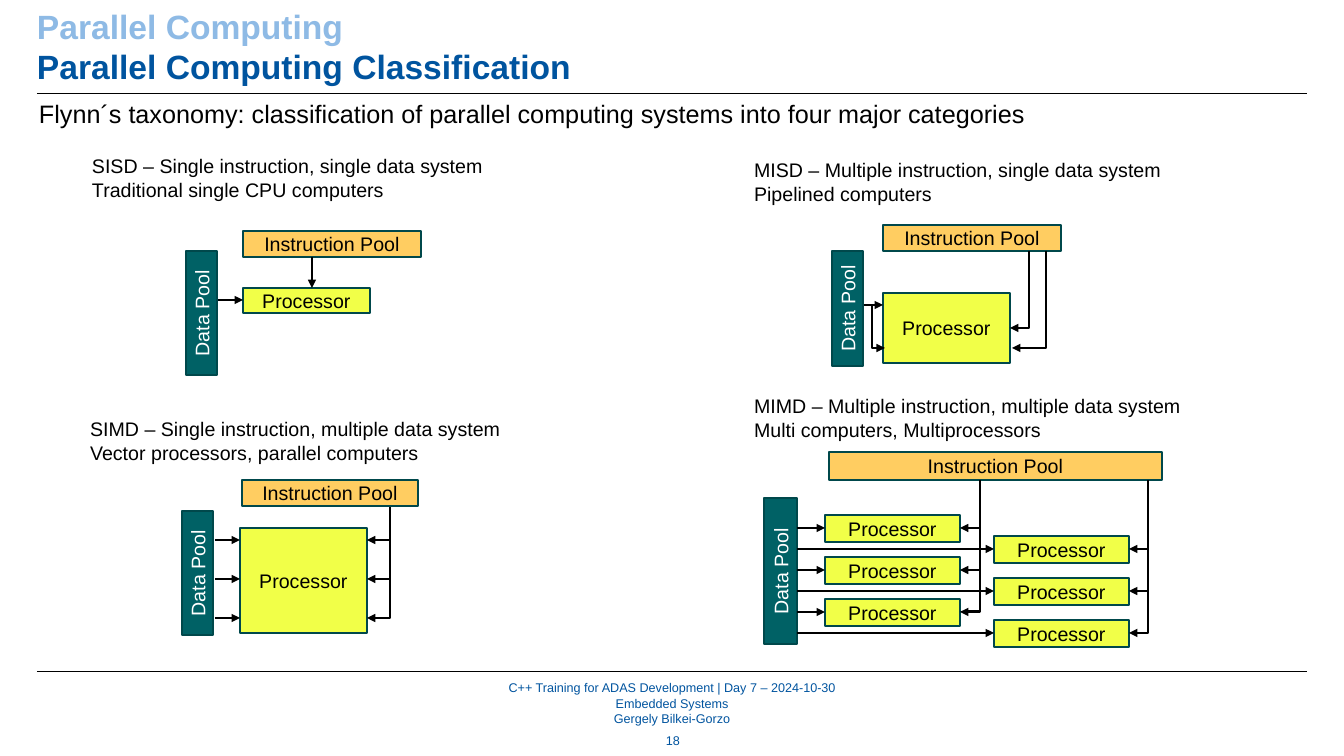
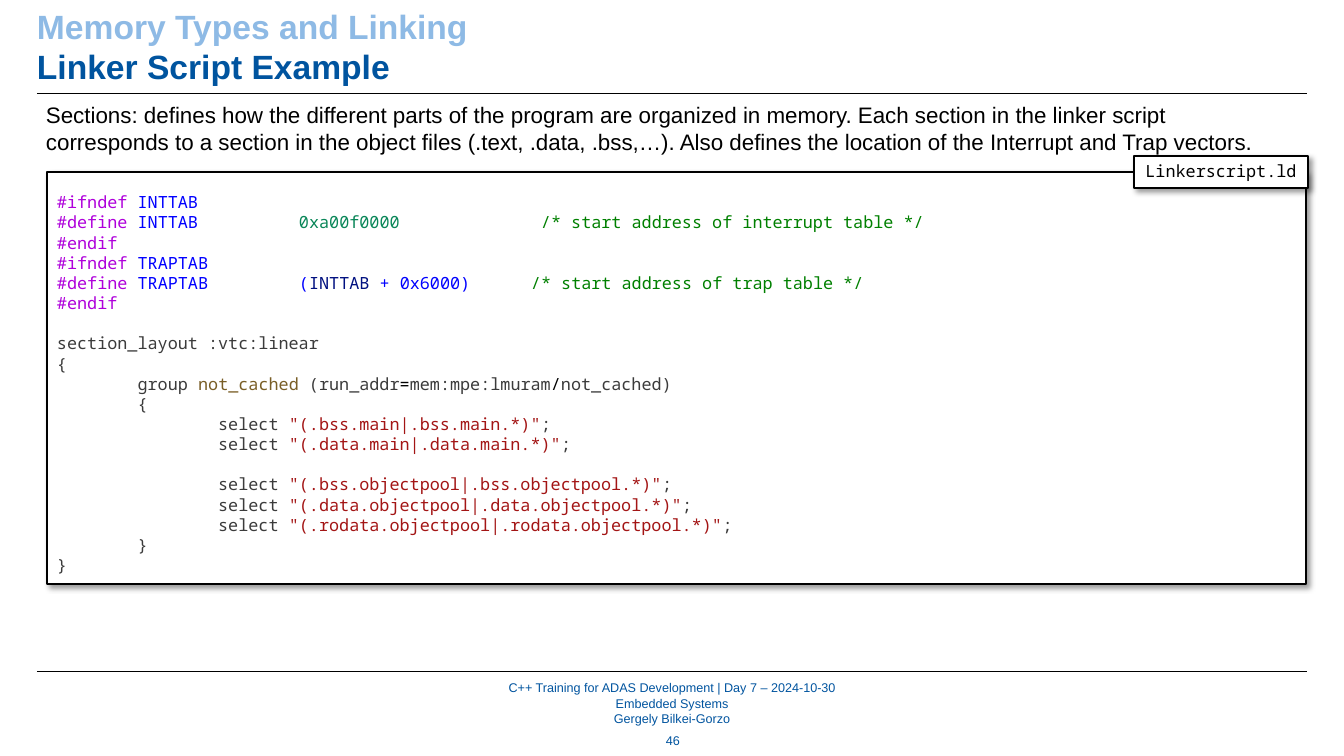
from lxml import etree
from pptx import Presentation, util as u
from pptx.dml.color import RGBColor
from pptx.enum import shapes, text
from pptx.oxml import ns

EMU_PER_PX = 914400 / 100.8
COLORS = {
    "black": "000000", "white": "FFFFFF", "blue": "00549F", "light blue": "8EBAE5",
    "teal": "006165", "outline": "00484B", "orange": "FFCD61", "yellow": "F1FF48",
    "directive": "AF00DB", "macro": "0000FF", "number": "098658", "comment": "008000",
    "reference": "001080", "plain": "3B3B3B", "name": "795E26", "string": "A31515",
}
SANS, MONO = "Arial", "Noto Sans Mono"
CODE_PITCH = 14.4
LEFT, RIGHT = 37, 1307
FOOTER = ["C++ Training for ADAS Development | Day 7 – 2024-10-30",
          "Embedded Systems", "Gergely Bilkei-Gorzo"]


def px(length):
    return u.Emu(round(length * EMU_PER_PX))


def rgb(name):
    return RGBColor.from_string(COLORS[name])


def add_xml(parent, tag, **attributes):
    return etree.SubElement(parent, ns.qn(tag), attributes)


def write(frame, lines, size=14, font=SANS, color="black", bold=False, align="LEFT",
          anchor="TOP", insets=(10, 5, 10, 5), pitch=None, gaps=(), tabs=None):
    """Fill a frame; a line is a string or a list of (text, colour) runs.

    gaps holds the lines that follow an empty row, tabs maps a line to its stops.
    """
    frame.word_wrap = True
    frame.auto_size = text.MSO_AUTO_SIZE.NONE
    frame.vertical_anchor = getattr(text.MSO_ANCHOR, anchor)
    (frame.margin_left, frame.margin_top,
     frame.margin_right, frame.margin_bottom) = map(px, insets)
    for number, line in enumerate(lines):
        paragraph = frame.add_paragraph() if number else frame.paragraphs[0]
        if tabs and number in tabs:
            stops = add_xml(paragraph._p.get_or_add_pPr(), "a:tabLst")
            for stop in tabs[number]:
                add_xml(stops, "a:tab", pos=str(px(stop)), algn="l")
        paragraph.alignment = getattr(text.PP_ALIGN, align)
        if pitch:
            paragraph.line_spacing = u.Pt(pitch)
        if number in gaps:
            paragraph.space_before = u.Pt(pitch)
        for words, run_color in [(line, color)] if isinstance(line, str) else line:
            run = paragraph.add_run()
            run.text = words
            run.font.size, run.font.name, run.font.bold = u.Pt(size), font, bold
            run.font.color.rgb = rgb(run_color)


class Deck:
    def __init__(self):
        self.presentation = Presentation()
        self.presentation.slide_width, self.presentation.slide_height = px(1344), px(756)
        self.slide = None

    def start_slide(self, chapter, topic, number):
        self.slide = self.presentation.slides.add_slide(self.presentation.slide_layouts[5])
        title = self.slide.shapes.title
        title.left, title.top, title.width, title.height = map(px, (LEFT, 5, 1270, 82))
        write(title.text_frame, [[(chapter, "light blue")], [(topic, "blue")]],
              size=24, bold=True, anchor="MIDDLE", insets=(0, 0, 0, 0))
        for y in (93, 671):
            self.line((LEFT, y), (RIGHT, y), width=0.5, arrow=False)
        small = dict(size=9, color="blue", align="CENTER", anchor="MIDDLE", insets=(0, 0, 0, 0))
        self.text(346, 680, 652, 46, FOOTER, **small)
        self.text(647, 727, 52, 26, [str(number)], **small)

    def text(self, x, y, width, height, lines, **style):
        box = self.slide.shapes.add_textbox(*map(px, (x, y, width, height)))
        write(box.text_frame, lines, **style)

    def box(self, x, y, width, height, lines, fill, line="outline", line_width=1,
            upright=False, shadow=False, **style):
        """Add a rectangle; an upright one is turned so that its text reads upwards."""
        if upright:
            x, y = x + (width - height) / 2, y + (height - width) / 2
            width, height = height, width
        shape = self.slide.shapes.add_shape(shapes.MSO_SHAPE.RECTANGLE,
                                            *map(px, (x, y, width, height)))
        shape.rotation = 270 if upright else 0
        shape.shadow.inherit = False
        shape.fill.solid()
        shape.fill.fore_color.rgb = rgb(fill)
        shape.line.color.rgb = rgb(line)
        shape.line.width = u.Pt(line_width)
        if shadow:
            effects = shape.element.spPr.find(ns.qn("a:effectLst"))
            outer = add_xml(effects, "a:outerShdw", blurRad=str(u.Pt(4)), dist=str(u.Pt(3)),
                            dir="2700000", algn="tl", rotWithShape="0")
            tint = add_xml(outer, "a:srgbClr", val=COLORS["black"])
            add_xml(tint, "a:alpha", val="40000")
        write(shape.text_frame, lines, **style)

    def line(self, start, tip, width=2, arrow=True, bent=False):
        """Draw a line; a bent one runs vertically from start, then sideways to tip."""
        kind = shapes.MSO_CONNECTOR.ELBOW if bent else shapes.MSO_CONNECTOR.STRAIGHT
        ends = (*tip, *start) if bent else (*start, *tip)
        connector = self.slide.shapes.add_connector(kind, *map(px, ends))
        connector.line.color.rgb = rgb("black")
        connector.line.width = u.Pt(width)
        properties = connector.element.spPr
        if bent:
            properties.find(ns.qn("a:prstGeom")).set("prst", "bentConnector2")
        if arrow:
            add_xml(connector.line._get_or_add_ln(), "a:headEnd" if bent else "a:tailEnd",
                    type="triangle")
        add_xml(properties, "a:effectLst")

    def block(self, label, x, y, width, height, fill, color="black", upright=False):
        self.box(x, y, width, height, [label], fill, upright=upright, color=color,
                 align="CENTER", anchor="MIDDLE", insets=(0, 0, 0, 0))

    def data_pool(self, *place):
        self.block("Data Pool", *place, "teal", color="white", upright=True)

    def instruction_pool(self, *place):
        self.block("Instruction Pool", *place, "orange")

    def processor(self, *place):
        self.block("Processor", *place, "yellow")

    def feed(self, bus_x, bus_top, tip_x, rows):
        """Lead a vertical bus to its last row, with a branch at each row above."""
        self.line((bus_x, bus_top), (tip_x, rows[-1]), bent=True)
        for y in rows[:-1]:
            self.line((bus_x, y), (tip_x, y))


def build_classification(deck):
    deck.start_slide("Parallel Computing", "Parallel Computing Classification", 18)
    deck.text(29, 93, 1200, 40, ["Flynn´s taxonomy: classification of parallel computing "
                                 "systems into four major categories"], size=18)
    for x, y, system, examples in (
            (82, 149, "SISD – Single instruction, single data system",
             "Traditional single CPU computers"),
            (744, 153, "MISD – Multiple instruction, single data system",
             "Pipelined computers"),
            (80, 412, "SIMD – Single instruction, multiple data system",
             "Vector processors, parallel computers"),
            (744, 389, "MIMD – Multiple instruction, multiple data system",
             "Multi computers, Multiprocessors")):
        deck.text(x, y, 460, 56, [system, examples])

    # SISD
    deck.data_pool(186, 251, 31, 124)
    deck.instruction_pool(243, 231, 178, 26)
    deck.processor(243, 288, 127, 25)
    deck.line((218, 300), (243, 300))
    deck.line((312, 257), (312, 288))

    # MISD
    deck.data_pool(832, 251, 31, 115)
    deck.instruction_pool(883, 225, 178, 26)
    deck.processor(883, 293, 127, 70)
    deck.line((864, 305), (883, 305))
    deck.line((872, 305), (885, 348), bent=True)
    deck.line((1029, 251), (1010, 328), bent=True)
    deck.line((1046, 251), (1012, 348), bent=True)

    # SIMD
    rows = range(540, 620, 39)
    deck.data_pool(182, 511, 31, 124)
    deck.instruction_pool(242, 480, 176, 26)
    deck.processor(240, 528, 127, 105)
    for y in rows:
        deck.line((215, y), (240, y))
    deck.feed(390, 507, 367, rows)

    # MIMD
    deck.data_pool(764, 498, 33, 146)
    deck.instruction_pool(829, 452, 333, 28)
    for x, top, bus_x in ((825, 515, 980), (994, 536, 1148)):
        rows = [top + 13 + 42 * row for row in range(3)]
        for y in rows:
            deck.processor(x, y - 13, 135, 27)
            deck.line((797, y), (x, y))
        deck.feed(bus_x, 480, x + 135, rows)


def select(pattern):
    return [("                select ", "plain"), (f'"{pattern}"', "string"), (";", "plain")]


def build_linker_script(deck):
    deck.start_slide("Memory Types and Linking", "Linker Script Example", 46)
    code = [
        [("#ifndef", "directive"), (" INTTAB", "macro")],
        [("#define", "directive"), (" INTTAB\t", "macro"), ("0xa00f0000", "number"),
         ("\t/* start address of interrupt table */", "comment")],
        [("#endif", "directive")],
        [("#ifndef", "directive"), (" TRAPTAB", "macro")],
        [("#define", "directive"), (" TRAPTAB\t(", "macro"), ("INTTAB", "reference"),
         (" + 0x6000)", "macro"), ("\t/* start address of trap table */", "comment")],
        [("#endif", "directive")],
        "section_layout :vtc:linear",
        "{",
        [("        group ", "plain"), ("not_cached", "name"), (" (run_addr", "plain"),
         ("=", "black"), ("mem:mpe:lmuram", "plain"), ("/", "black"),
         ("not_cached)", "plain")],
        "        {",
        select("(.bss.main|.bss.main.*)"),
        select("(.data.main|.data.main.*)"),
        select("(.bss.objectpool|.bss.objectpool.*)"),
        select("(.data.objectpool|.data.objectpool.*)"),
        select("(.rodata.objectpool|.rodata.objectpool.*)"),
        "        }",
        "}",
    ]
    panel = dict(fill="white", line="black", line_width=1.5, shadow=True, size=12, font=MONO)
    deck.box(47, 172, 1259, 412, code, color="plain", insets=(10, 20, 10, 5),
             pitch=CODE_PITCH, gaps=(6, 12), tabs={1: (242, 484), 4: (242, 474)}, **panel)
    deck.text(36, 96, 1255, 95, [
        "Sections: defines how the different parts of the program are organized in memory. "
        "Each section in the linker script corresponds to a section in the object files "
        "(.text, .data, .bss,…). Also defines the location of the Interrupt and Trap "
        "vectors."], size=16)
    deck.box(1134, 156, 174, 32, ["Linkerscript.ld"], align="CENTER", **panel)


def main():
    deck = Deck()
    build_classification(deck)
    build_linker_script(deck)
    deck.presentation.save("out.pptx")


if __name__ == "__main__":
    main()
